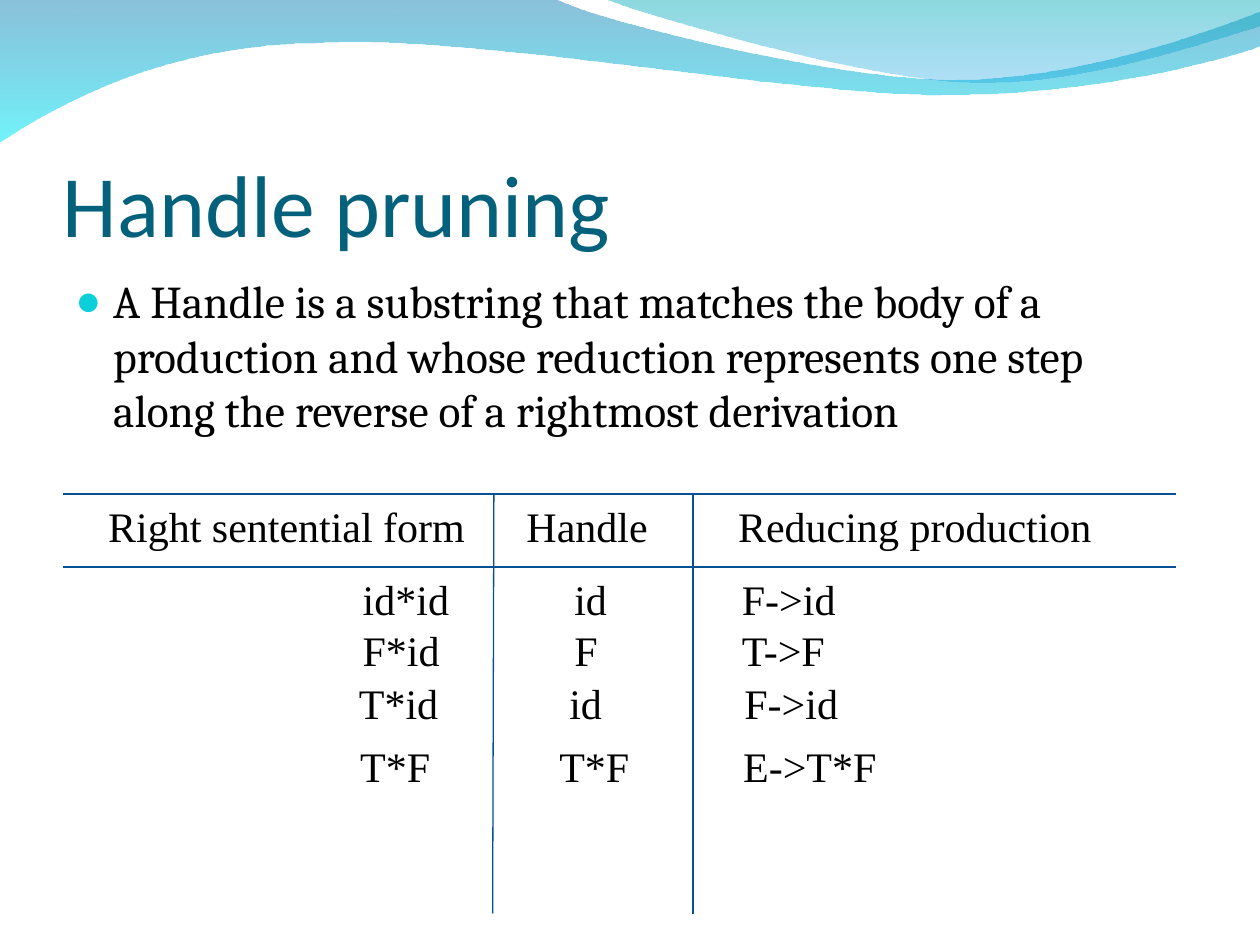
from dataclasses import dataclass

from lxml import etree
from pptx import Presentation
from pptx.dml.color import RGBColor
from pptx.enum.shapes import MSO_CONNECTOR
from pptx.enum.text import MSO_ANCHOR, MSO_AUTO_SIZE
from pptx.oxml.ns import qn
from pptx.shapes.autoshape import Shape
from pptx.slide import Slide
from pptx.text.text import TextFrame
from pptx.util import Pt

STRAIGHT = MSO_CONNECTOR.STRAIGHT
BOTTOM = MSO_ANCHOR.BOTTOM
FIT_SHAPE = MSO_AUTO_SIZE.SHAPE_TO_FIT_TEXT

EMU_PER_PX = 9144  # 100 px to the inch

Point = tuple[int, int]


@dataclass(frozen=True)
class Font:
    name: str
    size: int
    color: str


@dataclass(frozen=True)
class Theme:
    title: Font = Font("Calibri", 50, "04617B")
    body: Font = Font("Cambria", 26, "000000")
    cell: Font = Font("Times New Roman", 24, "000000")
    bullet: str = "0BD0D9"
    rule: str = "065093"
    rule_width: float = 0.75


@dataclass(frozen=True)
class Stop:
    color: str
    opacity: int


@dataclass(frozen=True)
class Wave:
    """A closed outline: one point is a line, three are a Bézier curve."""
    start: Point
    segments: tuple[tuple[Point, ...], ...]
    top: Stop
    bottom: Stop


@dataclass(frozen=True)
class Cell:
    text: str
    left: int
    width: int


@dataclass(frozen=True)
class Row:
    top: int
    cells: tuple[Cell, Cell, Cell]


THEME = Theme()

WAVES = (
    Wave(
        (0, -1),
        (
            ((440, -1),),
            ((476, 17), (664, 63), (758, 63)),
            ((853, 63), (958, 26), (1000, 9)),
            ((1001, 36),),
            ((983, 44), (870, 76), (746, 75)),
            ((622, 75), (382, 28), (257, 34)),
            ((129, 35), (46, 83), (-1, 113)),
            ((0, -1),),
        ),
        Stop("0079AF", 46), Stop("00EBF8", 56),
    ),
    Wave(
        (479, -1),
        (
            ((509, 11), (682, 62), (769, 65)),
            ((856, 69), (961, 32), (1000, 21)),
            ((1000, 0),),
            ((479, -1),),
        ),
        Stop("00ADB6", 46), Stop("009BE5", 31),
    ),
)

ROWS = (
    Row(392, (Cell("Right sentential form", 76, 305), Cell("Handle", 408, 118),
              Cell("Reducing production", 576, 303))),
    Row(450, (Cell("id*id", 278, 91), Cell("id", 446, 48), Cell("F->id", 579, 96))),
    Row(491, (Cell("F*id", 278, 83), Cell("F", 446, 40), Cell("T->F", 579, 91))),
    Row(533, (Cell("T*id", 275, 85), Cell("id", 442, 48), Cell("F->id", 581, 96))),
    Row(583, (Cell("T*F", 276, 78), Cell("T*F", 434, 78), Cell("E->T*F", 580, 128))),
)
ROW_HEIGHT = 50

TABLE_LEFT, TABLE_RIGHT, TABLE_TOP, TABLE_BOTTOM = 50, 933, 392, 725
RULES = (
    *(((TABLE_LEFT, y), (TABLE_RIGHT, y)) for y in (TABLE_TOP, 450)),
    ((392, TABLE_TOP), (391, TABLE_BOTTOM)),
    ((550, TABLE_TOP), (550, TABLE_BOTTOM)),
)


def px(length: int) -> int:
    return length * EMU_PER_PX


def bend_segments(shape: Shape, wave: Wave) -> None:
    """Join each run of three straight steps into one Bézier curve."""
    steps = iter(list(shape.element.iter(qn("a:lnTo"))))
    for segment in wave.segments:
        first, *others = (next(steps) for _ in segment)
        if others:
            curve = etree.Element(qn("a:cubicBezTo"))
            first.addprevious(curve)
            for step in (first, *others):
                curve.append(step[0])
                step.getparent().remove(step)


def draw_wave(slide: Slide, wave: Wave) -> None:
    builder = slide.shapes.build_freeform(*wave.start, scale=EMU_PER_PX)
    builder.add_line_segments(
        [point for segment in wave.segments for point in segment], close=True
    )
    shape = builder.convert_to_shape()
    bend_segments(shape, wave)
    shape.shadow.inherit = False
    shape.line.fill.background()
    shape.fill.gradient()
    shape.fill.gradient_angle = 270
    stops = (wave.top, wave.bottom)
    for position, (target, stop) in enumerate(zip(shape.fill.gradient_stops, stops)):
        target.color.rgb = RGBColor.from_string(stop.color)
        target.position = position
    for color, stop in zip(shape.element.spPr.iter(qn("a:srgbClr")), stops):
        etree.SubElement(color, qn("a:alpha"), val=str(stop.opacity * 1000))


def add_text(slide: Slide, text: str, box: tuple[int, int, int, int],
             font: Font, wrap: bool = True) -> TextFrame:
    frame = slide.shapes.add_textbox(*map(px, box)).text_frame
    frame.word_wrap = wrap
    frame.text = text
    run_font = frame.paragraphs[0].runs[0].font
    run_font.name = font.name
    run_font.size = Pt(font.size)
    run_font.color.rgb = RGBColor.from_string(font.color)
    return frame


def add_bullet(frame: TextFrame, color: str) -> None:
    properties = frame.paragraphs[0]._p.get_or_add_pPr()
    properties.set("marL", str(px(30)))
    properties.set("indent", str(px(-30)))
    bullet_color = etree.SubElement(properties, qn("a:buClr"))
    etree.SubElement(bullet_color, qn("a:srgbClr"), val=color)
    etree.SubElement(properties, qn("a:buSzPct"), val="95000")
    etree.SubElement(properties, qn("a:buFont"), typeface=THEME.cell.name)
    etree.SubElement(properties, qn("a:buChar"), char="●")


def draw_rule(slide: Slide, start: Point, end: Point) -> None:
    rule = slide.shapes.add_connector(STRAIGHT, *map(px, (*start, *end)))
    rule.line.color.rgb = RGBColor.from_string(THEME.rule)
    rule.line.width = Pt(THEME.rule_width)
    etree.SubElement(rule.element.spPr, qn("a:effectLst"))


def main() -> None:
    deck = Presentation()
    deck.slide_width, deck.slide_height = px(1000), px(750)
    slide = deck.slides.add_slide(deck.slide_layouts[6])

    for wave in WAVES:
        draw_wave(slide, wave)

    title = add_text(slide, "Handle pruning", (50, 77, 900, 125), THEME.title)
    title.vertical_anchor = BOTTOM
    title.margin_left = title.margin_right = title.margin_bottom = 0

    definition = add_text(
        slide,
        "A Handle is a substring that matches the body of a production and whose "
        "reduction represents one step along the reverse of a rightmost derivation",
        (50, 212, 900, 172), THEME.body,
    )
    add_bullet(definition, THEME.bullet)

    for start, end in RULES:
        draw_rule(slide, start, end)
    for row in ROWS:
        for cell in row.cells:
            box = (cell.left, row.top, cell.width, ROW_HEIGHT)
            frame = add_text(slide, cell.text, box, THEME.cell, wrap=False)
            frame.auto_size = FIT_SHAPE

    deck.save("out.pptx")


if __name__ == "__main__":
    main()
